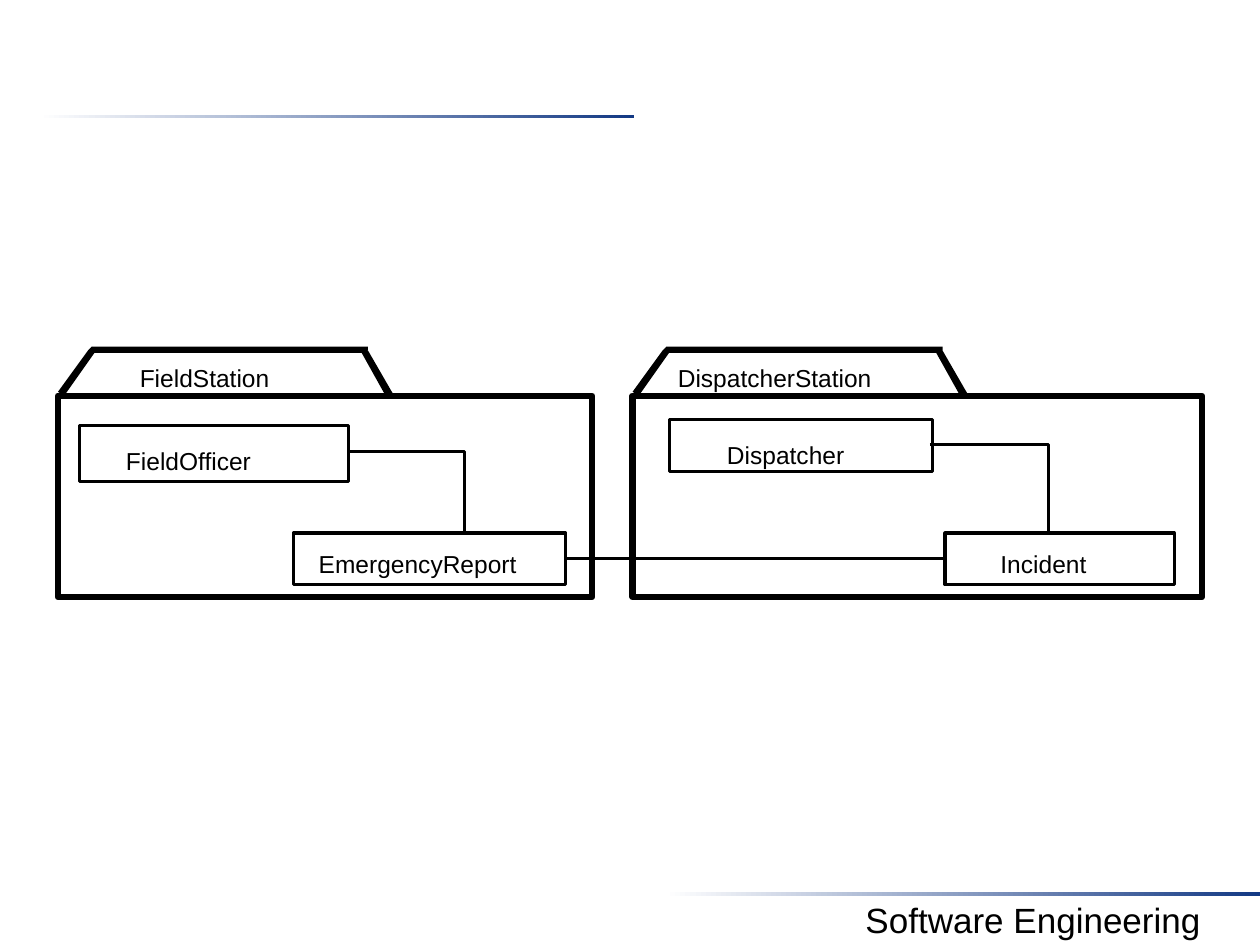
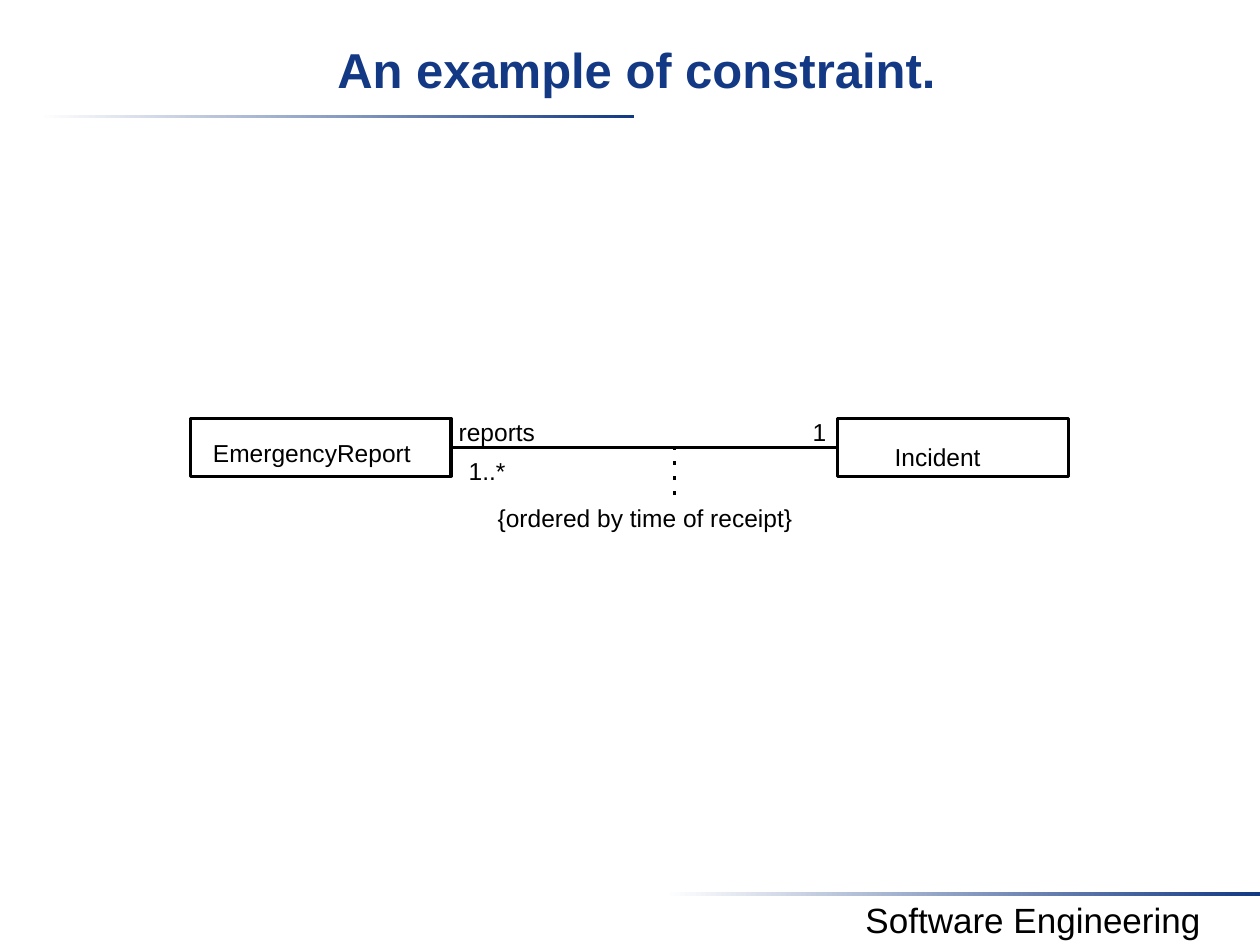
from dataclasses import dataclass

from lxml.etree import SubElement
from pptx import Presentation
from pptx.dml.color import RGBColor
from pptx.enum.shapes import MSO_CONNECTOR as Link, MSO_SHAPE as Preset
from pptx.enum.text import MSO_ANCHOR as Anchor, PP_ALIGN as Align
from pptx.oxml.ns import qn
from pptx.util import Inches, Pt

COLUMNS, ROWS = 100, 75
CELL = Inches(0.1)
INK, NAVY, WHITE = "000000", "133984", "FFFFFF"
FONT = "Arial"
THIN, THICK = 1.75, 3.5
TOP, LEFT, RIGHT = 0, 1, 3
LABEL_ROWS = 2.3
NO_INSETS = (0, 0, 0, 0)

# Strokes of a package tab, in cells from the top left corner of the package body
TAB_STROKES = (
    ((0, -0.3), (0.5, 0), (2.9, -3.4), (2.7, -3.9), (2.4, -3.6)),
    ((2.7, -3.9), (2.7, -3.4), (24.3, -3.4), (24.6, -3.6), (24.6, -3.9)),
    ((24.6, -3.6), (24.1, -3.4), (26, 0), (26.7, 0), (26.5, -0.3)),
)


@dataclass
class Box:
    """A place on the slide, in grid cells."""
    left: float
    top: float
    width: float
    height: float

    def inner(self, dx, dy, width, height):
        return Box(self.left + dx, self.top + dy, width, height)

    def emu(self):
        return [cells(v) for v in (self.left, self.top, self.width, self.height)]


def cells(count):
    return round(count * CELL)


def color(hex_value):
    return RGBColor.from_string(hex_value)


def apply(target, **values):
    for key, value in values.items():
        setattr(target, key, value)


def stroke(line, width=THIN):
    line.width = Pt(width)
    line.fill.solid()
    line.fill.fore_color.rgb = color(INK)


def add_text(slide, box, text, size=14, hue=INK, bold=False, align=Align.LEFT,
             insets=NO_INSETS):
    """Insets are left, top, right, bottom, in cells."""
    frame = slide.shapes.add_textbox(*box.emu()).text_frame
    left, top, right, bottom = map(cells, insets)
    apply(frame, word_wrap=True, vertical_anchor=Anchor.TOP, margin_left=left,
          margin_top=top, margin_right=right, margin_bottom=bottom)
    paragraph = frame.paragraphs[0]
    paragraph.alignment = align
    run = paragraph.add_run()
    run.text = text
    apply(run.font, name=FONT, size=Pt(size), bold=bold)
    run.font.color.rgb = color(hue)


def add_outline(slide, box, width):
    outline = slide.shapes.add_shape(Preset.RECTANGLE, *box.emu())
    outline.shadow.inherit = False
    outline.fill.background()
    stroke(outline.line, width)
    return outline


def add_path(slide, points, close):
    """Draw a filled outline when closed, a bent line when open."""
    start, *rest = [(cells(x), cells(y)) for x, y in points]
    builder = slide.shapes.build_freeform(*start)
    builder.add_line_segments(rest, close=close)
    path_shape = builder.convert_to_shape()
    path_shape.shadow.inherit = False
    if close:
        path_shape.fill.solid()
        path_shape.fill.fore_color.rgb = color(INK)
        path_shape.line.fill.background()
    else:
        path_shape.fill.background()
        stroke(path_shape.line)


def add_line(slide, start=(0, 0), end=(0, 0)):
    line = slide.shapes.add_connector(Link.STRAIGHT, *map(cells, (*start, *end)))
    stroke(line.line)
    SubElement(line._element.spPr, qn("a:effectLst"))
    return line


def associate(slide, source, target):
    """Join the left side of source to the right side of target."""
    line = add_line(slide)
    line.begin_connect(source, LEFT)
    line.end_connect(target, RIGHT)


def add_class(slide, box, name, dx, dy):
    """Draw a class box, its name starting dx, dy from its corner."""
    outline = add_outline(slide, box, THIN)
    add_text(slide, box.inner(dx, dy, box.width - dx, LABEL_ROWS), name)
    return outline


def add_package(slide, body, name, name_dx):
    for points in TAB_STROKES:
        add_path(slide, [(body.left + x, body.top + y) for x, y in points], True)
    add_text(slide, body.inner(name_dx, -2.6, 20, LABEL_ROWS), name)
    add_outline(slide, body, THICK)


def add_rule(slide, box):
    rule = slide.shapes.add_shape(Preset.RECTANGLE, *box.emu())
    rule.shadow.inherit = False
    rule.line.fill.background()
    rule.fill.gradient()
    rule.fill.gradient_angle = 0
    for stop, position, hue in zip(rule.fill.gradient_stops, (0, 1), (WHITE, NAVY)):
        stop.position = position
        stop.color.rgb = color(hue)


def add_frame(deck, title=None):
    """Start a slide with the shared rules, footer and optional title."""
    slide = deck.slides.add_slide(deck.slide_layouts[6])
    rule_width, rule_height = 47.2, 0.3
    add_rule(slide, Box(3.1, 9.1, rule_width, rule_height))
    add_rule(slide, Box(COLUMNS - rule_width, 70.8, rule_width, rule_height))
    add_text(slide, Box(64, 70.8, 36, 4.4), "Software Engineering", size=20,
             align=Align.CENTER, insets=(1, 0.5, 1, 0.5))
    if title:
        add_text(slide, Box(0, 2, COLUMNS, 7.5), title, size=28, hue=NAVY, bold=True,
                 align=Align.CENTER, insets=(2, 1.1, 1, 0.5))
    return slide


def package_diagram(slide, box):
    """Two packages side by side, with an association between them."""
    field = box.inner(0, 3.9, 42.4, 16)
    dispatch = box.inner(45.6, 3.9, 45.2, 16)
    add_package(slide, field, "FieldStation", 6.5)
    add_package(slide, dispatch, "DispatcherStation", 3.6)

    add_class(slide, field.inner(1.7, 2.4, 21.4, 4.4), "FieldOfficer", 3.7, 1.6)
    report = add_class(slide, field.inner(18.7, 10.9, 21.6, 4.1),
                       "EmergencyReport", 2, 1.3)
    add_class(slide, dispatch.inner(2.9, 1.9, 20.9, 4.1), "Dispatcher", 4.6, 1.6)
    incident = add_class(slide, dispatch.inner(24.8, 10.9, 18.2, 4.1),
                         "Incident", 4.4, 1.3)

    for package, start, turn, drop in ((field, 23.1, 32.3, 4.4),
                                       (dispatch, 23.6, 33, 3.9)):
        bend = ((start, drop), (turn, drop), (turn, 10.9))
        add_path(slide, [(package.left + x, package.top + y) for x, y in bend], False)
    associate(slide, incident, report)


def constraint_diagram(slide, box):
    """Two classes whose association carries a constraint."""
    report = add_class(slide, box.inner(0, 0, 20.7, 4.6), "EmergencyReport", 1.8, 1.6)
    incident = add_class(slide, box.inner(51.4, 0, 18.3, 4.6), "Incident", 4.5, 1.9)
    associate(slide, incident, report)

    for text, dx, dy, width in (("reports", 21.3, -0.1, 8.1),
                                ("1", 49.4, -0.1, 1.2),
                                ("1..*", 22.1, 3, 4.7),
                                ("{ordered by time of receipt}", 24.4, 6.7, 32.6)):
        add_text(slide, box.inner(dx, dy, width, LABEL_ROWS), text)

    dash_x, dash_step, dash_length = box.left + 38.4, 1.2, 0.3
    for index in range(4):
        dash_y = box.top + 2.2 + index * dash_step
        add_line(slide, (dash_x, dash_y + dash_length), (dash_x, dash_y))


def main():
    deck = Presentation()
    apply(deck, slide_width=COLUMNS * CELL, slide_height=ROWS * CELL)
    package_diagram(add_frame(deck), Box(4.6, 27.5, 90.8, 19.9))
    constraint_diagram(add_frame(deck, "An example of constraint."),
                       Box(15.1, 33.2, 69.7, 9))
    deck.save("out.pptx")


if __name__ == "__main__":
    main()
